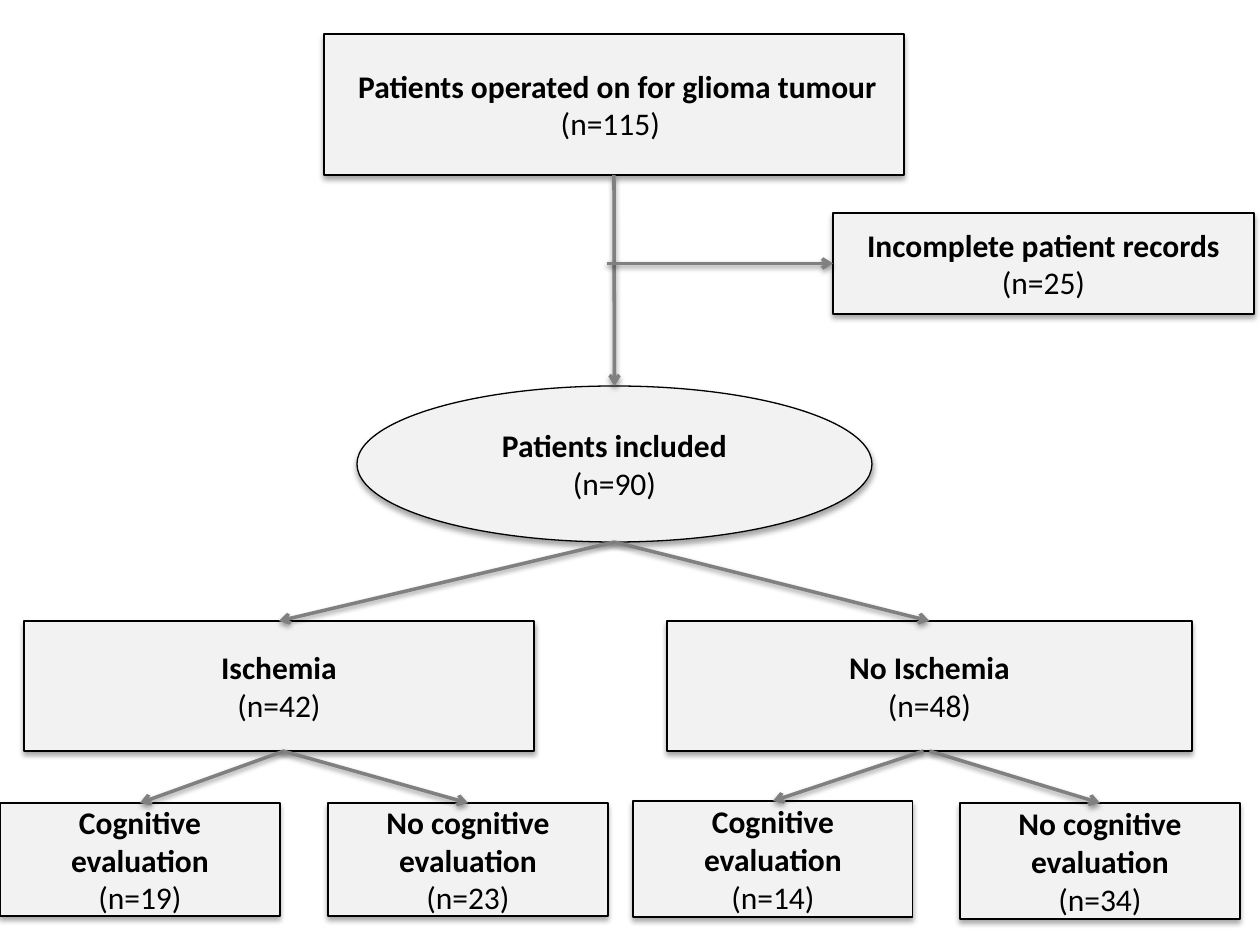
from dataclasses import dataclass

from lxml import etree
from pptx import Presentation
from pptx.dml.color import RGBColor
from pptx.enum import shapes, text
from pptx.oxml.ns import qn
from pptx.util import Pt

SCALE = 914400 / 126
RECT = shapes.MSO_SHAPE.RECTANGLE
OVAL = shapes.MSO_SHAPE.OVAL


@dataclass(frozen=True)
class Theme:
    """Colours, type and line sizes of the chart."""
    fill: str = "F2F2F2"
    edge: str = "000000"
    ink: str = "000000"
    arrow: str = "808080"
    font: str = "Calibri"
    size: int = 18
    thin: float = 0.75
    thick: float = 2


def px(n):
    """Turn pixels into EMU."""
    return round(n * SCALE)


def rgb(code):
    """Turn a hex code into a colour."""
    return RGBColor.from_string(code)


def write(par, words, font, size, color, bold=False):
    """Add one centred, formatted run to a paragraph."""
    par.alignment = text.PP_ALIGN.CENTER
    run = par.add_run()
    run.text = words
    run.font.name = font
    run.font.size = Pt(size)
    run.font.bold = bold
    run.font.color.rgb = rgb(color)


def shade(item, alpha, dist):
    """Give a shape or connector a soft shadow straight below it."""
    box = etree.SubElement(item._element.spPr, qn("a:effectLst"))
    cast = etree.SubElement(
        box, qn("a:outerShdw"), blurRad=str(Pt(3.1)), dist=str(Pt(dist)),
        dir="5400000", rotWithShape="0")
    tint = etree.SubElement(cast, qn("a:srgbClr"), val="000000")
    etree.SubElement(tint, qn("a:alpha"), val=str(alpha * 1000))


class Chart:
    """Draws flow chart parts on one slide in one style."""

    def __init__(self, slide, theme):
        """Keep the slide and its style."""
        self.slide = slide
        self.theme = theme

    def node(self, x, y, w, h, title, count, kind=RECT):
        """Add a box with a bold title and a count; return its frame."""
        t = self.theme
        box = self.slide.shapes.add_shape(kind, px(x), px(y), px(w), px(h))
        box.fill.solid()
        box.fill.fore_color.rgb = rgb(t.fill)
        box.line.color.rgb = rgb(t.edge)
        box.line.width = Pt(t.thin)
        shade(box, 35, 1.8)
        frame = box.text_frame
        frame.word_wrap = True
        frame.vertical_anchor = text.MSO_ANCHOR.MIDDLE
        look = dict(font=t.font, size=t.size, color=t.ink)
        write(frame.paragraphs[0], title, bold=True, **look)
        write(frame.add_paragraph(), count, **look)
        return x, y, w, h

    def arrow(self, x1, y1, x2, y2):
        """Add an arrow between two points."""
        line = self.slide.shapes.add_connector(
            shapes.MSO_CONNECTOR.STRAIGHT, px(x1), px(y1), px(x2), px(y2))
        line.line.color.rgb = rgb(self.theme.arrow)
        line.line.width = Pt(self.theme.thick)
        etree.SubElement(line.line._get_or_add_ln(), qn("a:tailEnd"),
                         type="arrow")
        shade(line, 38, 1.6)

    def link(self, top, low, shift=0):
        """Join the bottom centre of one node to the top centre of another."""
        x, y, w, h = top
        self.arrow(x + w / 2 + shift, y + h, low[0] + low[2] / 2, low[1])


def main():
    """Build the patient flow chart."""
    deck = Presentation()
    deck.slide_width, deck.slide_height = px(1260), px(945)
    chart = Chart(deck.slides.add_slide(deck.slide_layouts[6]), Theme())

    start = chart.node(324, 34, 580, 141,
                       " Patients operated on for glioma tumour", "(n=115) ")
    lost = chart.node(833, 213, 421, 101,
                      "Incomplete patient records", "(n=25)")
    kept = chart.node(357, 386, 515, 156, "Patients included", "(n=90)", OVAL)
    chart.link(start, kept)
    mid = lost[1] + lost[3] / 2
    chart.arrow(607, mid, lost[0], mid)

    yes, no = "Cognitive evaluation", "No cognitive evaluation"
    groups = [
        (24, 510, "Ischemia", "(n=42)", 5, 4,
         [(0, 803, 113, yes, "(n=19)"), (328, 803, 113, no, "(n=23)")]),
        (667, 525, "No Ischemia", "(n=48)", -6, 0,
         [(633, 801, 116, yes, "(n=14)"), (960, 803, 116, no, "(n=34)")]),
    ]
    for x, w, title, count, left, right, leaves in groups:
        group = chart.node(x, 621, w, 130, title, count)
        chart.link(kept, group)
        for (lx, ly, lh, name, num), shift in zip(leaves, (left, right)):
            leaf = chart.node(lx, ly, 280, lh, name, num)
            chart.link(group, leaf, shift)

    deck.save("out.pptx")


main()
